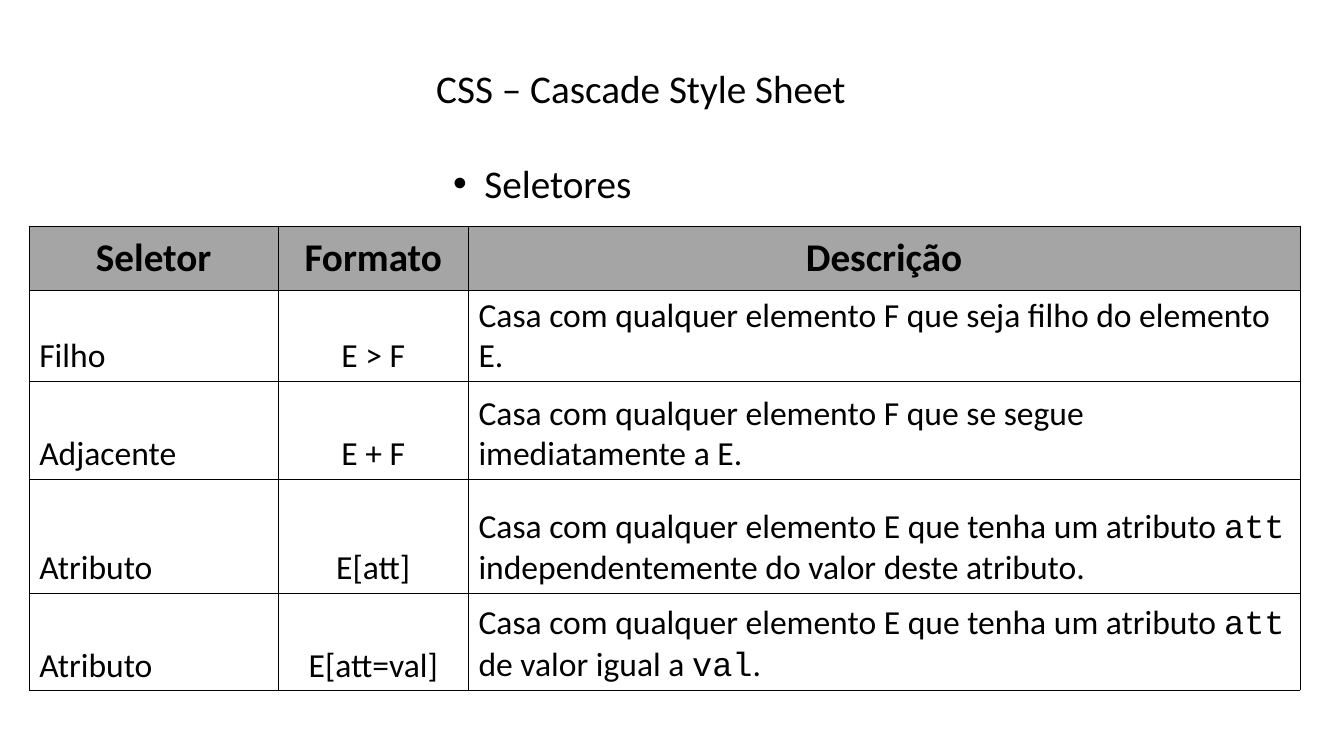
from pptx import Presentation
from pptx.dml.color import RGBColor
from pptx.enum.text import MSO_ANCHOR as Anchor, PP_ALIGN as Align
from pptx.oxml import parse_xml
from pptx.oxml.ns import nsdecls
from pptx.util import Inches, Pt

TITLE = "CSS – Cascade Style Sheet"
TOPIC = "Seletores"
HEADINGS = ("Seletor", "Formato", "Descrição")
SELECTORS = [
    ("Filho", "E > F", "Casa com qualquer elemento F que seja filho do elemento E."),
    ("Adjacente", "E + F", "Casa com qualquer elemento F que se segue imediatamente a E."),
    ("Atributo", "E[att]",
     "Casa com qualquer elemento E que tenha um atributo `att` independentemente do valor deste atributo."),
    ("Atributo", "E[att=val]",
     "Casa com qualquer elemento E que tenha um atributo `att` de valor igual a `val`."),
]
COLORS = {"ink": "000000", "header": "A5A5A5", "body": "FFFFFF"}
FONTS = ("Calibri", "Courier New")
SLIDE_SIZE = (13.34, 7.5)
TITLE_BOX = (4.23, 0.59, 6.1, 0.57)
TOPIC_BOX = (4.4, 1.53, 7.11, 0.57)
TABLE_CORNER = (0.29, 2.24)
COLUMNS = (2.47, 1.89, 8.25)
ROWS = (0.64, 0.9, 0.97, 1.13, 0.97)
TOPIC_INDENT = 0.31
BORDER_WIDTH = 0.11


def write(frame, text, size=28, bold=False, align=Align.LEFT, anchor=Anchor.TOP, spacing=1.0):
    frame.word_wrap = True
    frame.vertical_anchor = anchor
    paragraph = frame.paragraphs[0]
    paragraph.alignment = align
    paragraph.line_spacing = spacing
    paragraph.space_before = Pt(0)
    for index, piece in enumerate(text.split("`")):
        run = paragraph.add_run()
        run.text = piece
        run.font.name = FONTS[index % 2]
        run.font.size = Pt(size)
        run.font.bold = bold
        run.font.color.rgb = RGBColor.from_string(COLORS["ink"])
    return paragraph


def add_bullet(paragraph, indent):
    properties = paragraph._p.get_or_add_pPr()
    properties.set("marL", str(Inches(indent)))
    properties.set("indent", str(-Inches(indent)))
    properties.append(parse_xml(f'<a:buFont {nsdecls("a")} typeface="Arial"/>'))
    properties.append(parse_xml(f'<a:buChar {nsdecls("a")} char="•"/>'))


def add_borders(cell):
    properties = cell._tc.get_or_add_tcPr()
    for side in "LRTB":
        properties.append(parse_xml(
            f'<a:ln{side} {nsdecls("a")} w="{Pt(BORDER_WIDTH)}"><a:solidFill>'
            f'<a:srgbClr val="{COLORS["ink"]}"/></a:solidFill></a:ln{side}>'))


def add_selector_table(slide):
    extent = (*TABLE_CORNER, sum(COLUMNS), sum(ROWS))
    table = slide.shapes.add_table(len(ROWS), len(COLUMNS), *map(Inches, extent)).table
    for column, width in zip(table.columns, COLUMNS):
        column.width = Inches(width)
    for row, height in zip(table.rows, ROWS):
        row.height = Inches(height)
    for r, texts in enumerate([HEADINGS, *SELECTORS]):
        heading = r == 0
        for c, text in enumerate(texts):
            cell = table.cell(r, c)
            add_borders(cell)
            cell.fill.solid()
            cell.fill.fore_color.rgb = RGBColor.from_string(COLORS["header" if heading else "body"])
            cell.vertical_anchor = Anchor.MIDDLE if heading else Anchor.BOTTOM
            write(cell.text_frame, text, size=28 if heading else 24, bold=heading,
                  align=Align.CENTER if heading or c == 1 else Align.LEFT,
                  anchor=cell.vertical_anchor, spacing=0.98)


def main():
    deck = Presentation()
    deck.slide_width, deck.slide_height = map(Inches, SLIDE_SIZE)
    slide = deck.slides.add_slide(deck.slide_layouts[5])
    title = slide.shapes.title
    title.left, title.top, title.width, title.height = map(Inches, TITLE_BOX)
    write(title.text_frame, TITLE)
    topic = slide.shapes.add_textbox(*map(Inches, TOPIC_BOX))
    add_bullet(write(topic.text_frame, TOPIC), TOPIC_INDENT)
    add_selector_table(slide)
    deck.save("out.pptx")


if __name__ == "__main__":
    main()
